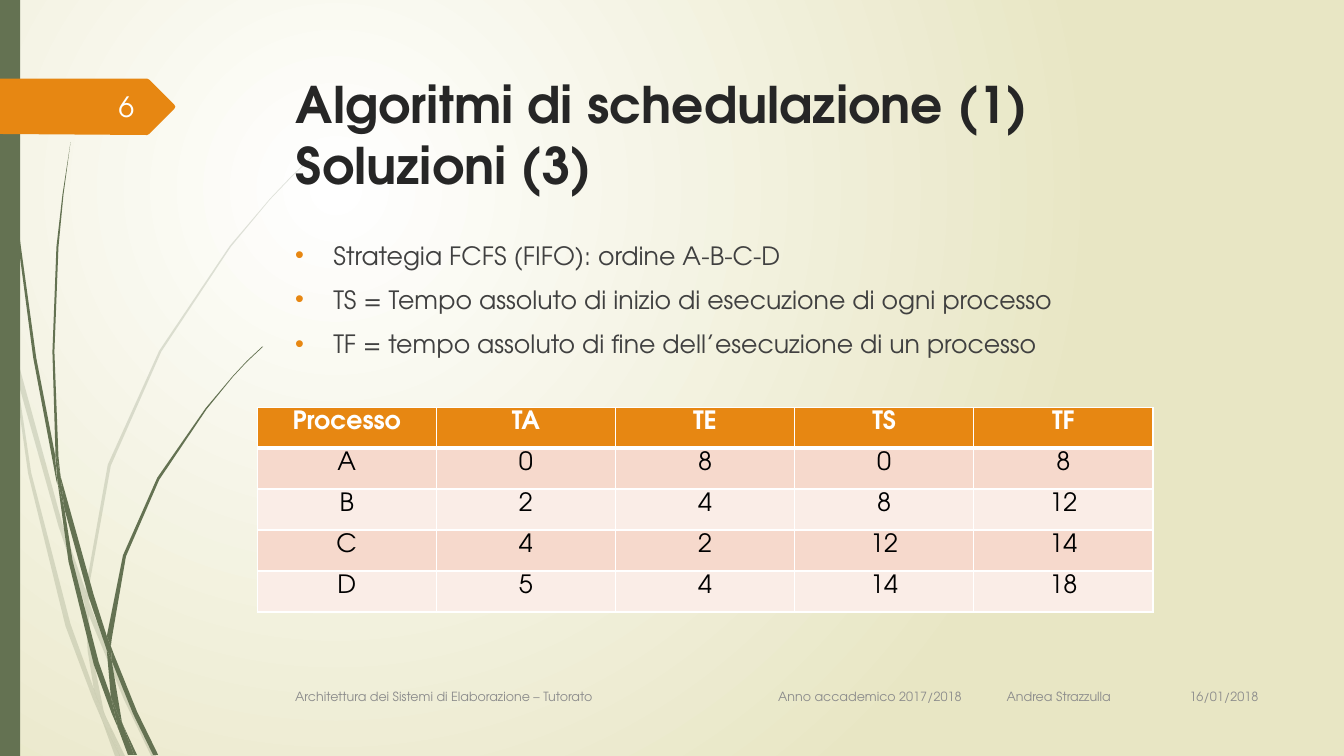
from dataclasses import dataclass

from lxml.etree import SubElement
from pptx import Presentation
from pptx.dml.color import RGBColor as RGB
from pptx.enum.shapes import MSO_SHAPE as SHAPE
from pptx.enum.text import MSO_ANCHOR as ANCHOR, PP_ALIGN as ALIGN
from pptx.oxml.ns import qn
from pptx.util import Cm, Pt

FONT = "TeX Gyre Adventor"
CM_PER_INCH = 2.54
COLORS = {
    "green": "647252", "orange": "E78712", "title": "262626", "body": "404040",
    "footer": "8C8C8C", "number": "FEFFFF", "white": "FFFFFF", "black": "000000",
    "sand": "E8E6C4", "band": "F6D9CC", "light": "FAEDE7",
}
Point = tuple[float, float]


@dataclass
class Label:
    left: float
    top: float
    width: float
    height: float
    lines: list[str]
    size: int
    color: str
    bold: bool = False
    align: ALIGN = ALIGN.LEFT
    anchor: ANCHOR = ANCHOR.TOP
    bullets: bool = False
    tabs: tuple[float, ...] = ()


@dataclass
class Grass:
    opacity: int
    blades: list[list[Point]]


PALE = Grass(20, [
    [(0.11, 3.5), (0.09, 3.22), (0, 2.82), (0, 2.99), (0.1, 3.44)],
    [(0.58, 5.22), (0.84, 5.99), (0.85, 5.86), (0.62, 5.2), (0.14, 3.45), (0.17, 3.76)],
    [(0.92, 6.07), (0.88, 5.96), (0.88, 6.1), (1.23, 6.94), (1.5, 7.5), (1.55, 7.5),
     (1.27, 6.92)],
    [(1.19, 7.5), (1.24, 7.5), (1.05, 7.11)],
    [(0.93, 6.83), (0.7, 6.19), (0.31, 4.69), (0.17, 3.76), (0.11, 3.5), (0.28, 4.7),
     (0.65, 6.21), (0.92, 6.93), (1.01, 7.14), (0.99, 7.07)],
    [(0.84, 5.99), (0.87, 6.46), (0.93, 6.83), (0.96, 6.92), (1.05, 7.11), (1.03, 7.06),
     (0.91, 6.46), (0.88, 6.1), (0.88, 6.08)],
    [(0.88, 5.84), (1.1, 4.62), (1.6, 3.49), (2.29, 2.45), (2.68, 1.98), (2.9, 1.75),
     (3.12, 1.54), (3.12, 1.53), (2.89, 1.75), (2.68, 1.97), (2.28, 2.44), (1.58, 3.48),
     (1.07, 4.61), (0.85, 5.84), (0.85, 5.86), (0.88, 5.96)],
    [(1.01, 7.14), (1.14, 7.5), (1.19, 7.5)],
    [(0.88, 6.08), (0.88, 6.1), (0.88, 5.96), (0.85, 5.86), (0.84, 5.99)],
    [(0.96, 6.92), (0.93, 6.83), (0.99, 7.07), (1.01, 7.14), (1.19, 7.5), (1.05, 7.11)],
])
DARK = Grass(100, [
    [(0.07, 1.1), (0.17, 2.33), (0.33, 3.55), (0.56, 4.77), (0.57, 4.81), (0.55, 4.57),
     (0.55, 4.53), (0.36, 3.55), (0.19, 2.32), (0.08, 1.09), (0.05, 0.48), (0.04, 0),
     (0.03, 0), (0.04, 0.48)],
    [(0.88, 5.92), (1.06, 6.45), (1.06, 6.33), (1.06, 6.31), (0.93, 5.9), (0.6, 4.72),
     (0.64, 5.05)],
    [(1.13, 6.49), (1.1, 6.41), (1.11, 6.56), (1.32, 7.08), (1.52, 7.49), (1.57, 7.49),
     (1.36, 7.06)],
    [(1.1, 6.91), (0.98, 6.57), (0.72, 5.56), (0.64, 5.05), (0.57, 4.77), (0.68, 5.57),
     (0.93, 6.59), (1.11, 7.08), (1.17, 7.22), (1.16, 7.17)],
    [(0.6, 4.72), (0.58, 4.53), (0.54, 3.49), (0.58, 2.45), (0.63, 1.93), (0.7, 1.41),
     (0.62, 1.93), (0.56, 2.45), (0.52, 3.49), (0.55, 4.49)],
    [(1.33, 7.49), (1.36, 7.49), (1.22, 7.19)],
    [(0.57, 4.77), (0.64, 5.05), (0.6, 4.72), (0.55, 4.49), (0.55, 4.53)],
    [(1.11, 6.33), (1.25, 5.52), (1.58, 4.76), (2.05, 4.06), (2.31, 3.74), (2.45, 3.59),
     (2.61, 3.44), (2.6, 3.44), (2.45, 3.58), (2.31, 3.73), (2.04, 4.05), (1.56, 4.74),
     (1.22, 5.51), (1.06, 6.31), (1.1, 6.41)],
    [(1.17, 7.22), (1.27, 7.49), (1.31, 7.49)],
    [(1.06, 6.45), (1.1, 6.91), (1.16, 7.06), (1.22, 7.19), (1.21, 7.16), (1.11, 6.56),
     (1.09, 6.51)],
    [(1.06, 6.45), (1.09, 6.51), (1.11, 6.56), (1.1, 6.41), (1.06, 6.31), (1.06, 6.33)],
    [(1.16, 7.06), (1.1, 6.91), (1.16, 7.17), (1.17, 7.22), (1.3, 7.49), (1.33, 7.49),
     (1.22, 7.19)],
])
TAG = [(0, 0.78), (1.46, 0.78), (1.48, 0.79), (1.73, 1.04), (1.74, 1.06), (1.73, 1.08),
       (1.48, 1.33), (1.46, 1.34), (0, 1.33)]
LABELS = [
    Label(7.21, 1.73, 24.77, 3.56, ["Algoritmi di schedulazione (1)\nSoluzioni (3)"],
          36, "title", bold=True),
    Label(7.19, 5.92, 24.77, 3.56, [
        "Strategia FCFS (FIFO): ordine A-B-C-D",
        "TS = Tempo assoluto di inizio di esecuzione di ogni processo",
        "TF = tempo assoluto di fine dell’esecuzione di un processo",
    ], 18, "body", bullets=True),
    Label(7.19, 17.04, 21.16, 1.02,
          ["Architettura dei Sistemi di Elaborazione – Tutorato\t"
           "Anno accademico 2017/2018\tAndrea Strazzulla"],
          9, "footer", anchor=ANCHOR.MIDDLE, tabs=(12.17, 17.93)),
    Label(28.78, 17.02, 3.18, 1.04, ["16/01/2018"], 9, "footer",
          align=ALIGN.RIGHT, anchor=ANCHOR.MIDDLE),
    Label(1.47, 2.18, 2.16, 1.02, ["6"], 20, "number",
          align=ALIGN.RIGHT, anchor=ANCHOR.MIDDLE),
]
ROWS = [
    ["Processo", "TA", "TE", "TS", "TF"],
    ["A", "0", "8", "0", "8"],
    ["B", "2", "4", "8", "12"],
    ["C", "4", "2", "12", "14"],
    ["D", "5", "4", "14", "18"],
]


def rgb(name: str) -> RGB:
    return RGB.from_string(COLORS[name])


def paint(sp, color: str, opacity: int = 100) -> None:
    sp.shadow.inherit = False
    sp.line.fill.background()
    sp.fill.solid()
    sp.fill.fore_color.rgb = rgb(color)
    if opacity < 100:
        clr = sp._element.spPr.find(qn("a:solidFill")).find(qn("a:srgbClr"))
        SubElement(clr, qn("a:alpha"), val=str(opacity * 1000))


def draw_outline(shapes, points: list[Point], color: str, opacity: int = 100) -> None:
    start, *rest = [(Cm(x * CM_PER_INCH), Cm(y * CM_PER_INCH)) for x, y in points]
    builder = shapes.build_freeform(*start)
    builder.add_line_segments(rest, close=True)
    paint(builder.convert_to_shape(), color, opacity)


def draw_grass(s, grass: Grass) -> None:
    group = s.shapes.add_group_shape()
    for blade in grass.blades:
        draw_outline(group.shapes, blade, "green", grass.opacity)


def add_run(p, text: str, size: int, color: str, bold: bool) -> None:
    r = p.add_run()
    r.text = text
    r.font.name = FONT
    r.font.size = Pt(size)
    r.font.bold = bold
    r.font.color.rgb = rgb(color)


def draw_label(s, label: Label) -> None:
    box = (label.left, label.top, label.width, label.height)
    tf = s.shapes.add_textbox(*map(Cm, box)).text_frame
    tf.word_wrap = True
    tf.vertical_anchor = label.anchor
    for i, line in enumerate(label.lines):
        p = tf.paragraphs[0] if i == 0 else tf.add_paragraph()
        p.alignment = label.align
        pPr = p._p.get_or_add_pPr()
        if i:
            p.space_before = Pt(10)
        if label.bullets:
            pPr.set("marL", str(Cm(0.96)))
            pPr.set("indent", str(Cm(-0.96)))
            clr = SubElement(pPr, qn("a:buClr"))
            SubElement(clr, qn("a:srgbClr"), val=COLORS["orange"])
            SubElement(pPr, qn("a:buFont"), typeface="Arial")
            SubElement(pPr, qn("a:buChar"), char="•")
        if label.tabs:
            tabs = SubElement(pPr, qn("a:tabLst"))
            for pos in label.tabs:
                SubElement(tabs, qn("a:tab"), pos=str(Cm(pos)), algn="l")
        for j, part in enumerate(line.split("\n")):
            if j:
                p.add_line_break()
            add_run(p, part, label.size, label.color, label.bold)


def add_borders(cell, widths: dict[str, int]) -> None:
    tcPr = cell._tc.get_or_add_tcPr()
    for i, (side, width) in enumerate(widths.items()):
        ln = tcPr.makeelement(qn(f"a:{side}"), {"w": str(Pt(width))})
        fill = SubElement(ln, qn("a:solidFill"))
        SubElement(fill, qn("a:srgbClr"), val=COLORS["white"])
        tcPr.insert(i, ln)


def draw_table(s) -> None:
    box = (6.48, 10.26, 22.58, 5.16)
    table = s.shapes.add_table(len(ROWS), len(ROWS[0]), *map(Cm, box)).table
    table.first_row = table.horz_banding = False
    for i, row in enumerate(ROWS):
        header = i == 0
        fill = "orange" if header else "band" if i % 2 else "light"
        for j, text in enumerate(row):
            cell = table.cell(i, j)
            cell.margin_left = cell.margin_right = Cm(0.1)
            cell.margin_top = cell.margin_bottom = Cm(0.1)
            cell.fill.solid()
            cell.fill.fore_color.rgb = rgb(fill)
            add_borders(cell, {"lnL": 1, "lnR": 1, "lnT": 3 if i == 1 else 1,
                               "lnB": 3 if header else 1})
            p = cell.text_frame.paragraphs[0]
            p.alignment = ALIGN.CENTER
            add_run(p, text, 18, "white" if header else "black", header)


def set_background(s) -> None:
    fill = s.background.fill
    fill.gradient()
    for stop, color, position in zip(fill.gradient_stops, ("white", "sand"), (0, 1)):
        stop.color.rgb = rgb(color)
        stop.position = position
    lin = next(s._element.iter(qn("a:lin")))
    grad = lin.getparent()
    grad.remove(lin)
    circle = SubElement(grad, qn("a:path"), {"path": "circle"})
    SubElement(circle, qn("a:fillToRect"), l="50000", t="50000", r="100000", b="100000")


def main() -> None:
    prs = Presentation()
    prs.slide_width, prs.slide_height = Cm(33.87), Cm(19.05)
    s = prs.slides.add_slide(prs.slide_layouts[6])
    set_background(s)
    for grass in (PALE, DARK):
        draw_grass(s, grass)
    paint(s.shapes.add_shape(SHAPE.RECTANGLE, 0, 0, Cm(0.51), prs.slide_height), "green")
    draw_outline(s.shapes, TAG, "orange")
    for label in LABELS:
        draw_label(s, label)
    draw_table(s)
    prs.save("out.pptx")


if __name__ == "__main__":
    main()
